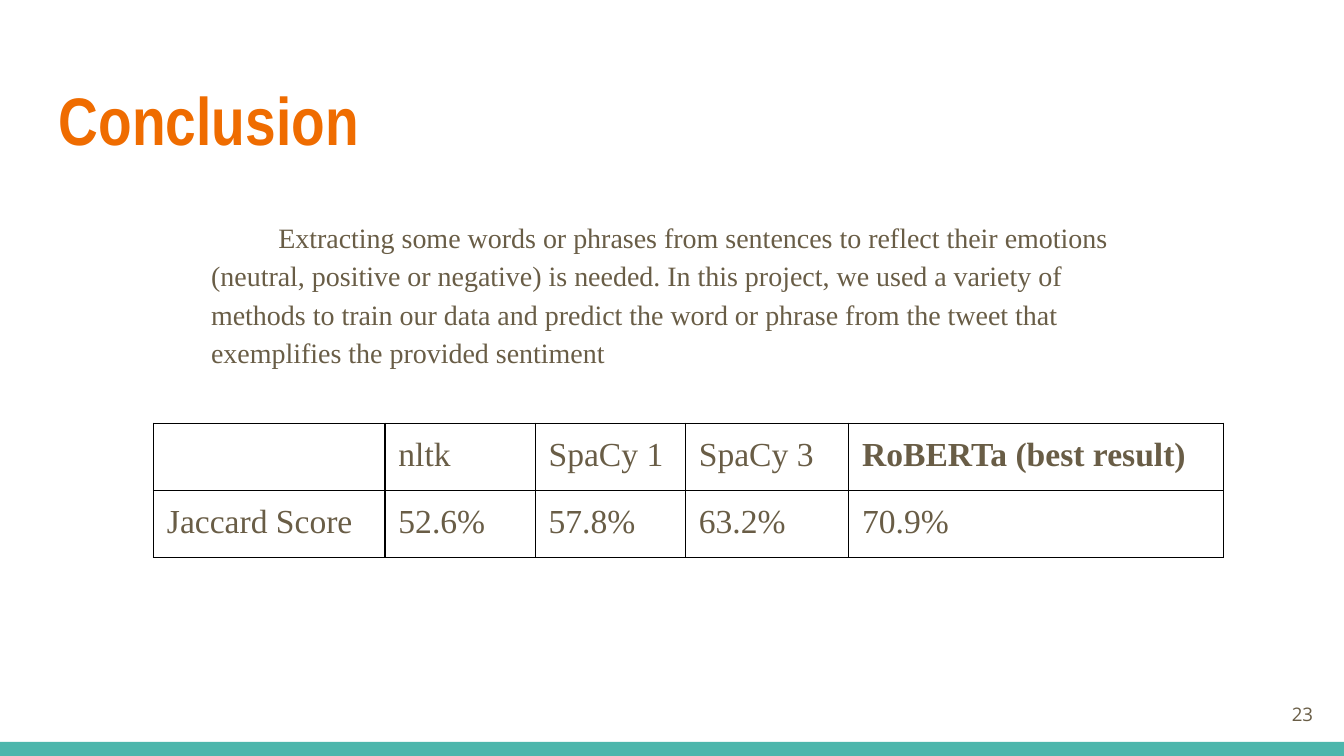
from lxml.etree import SubElement
from pptx import Presentation
from pptx.dml.color import RGBColor
from pptx.enum.shapes import MSO_SHAPE as Shape
from pptx.enum.text import MSO_ANCHOR as Anchor, PP_ALIGN as Align
from pptx.oxml.ns import qn
from pptx.util import Pt

TITLE = "Conclusion"
BODY = (
    "Extracting some words or phrases from sentences to reflect their emotions "
    "(neutral, positive or negative) is needed. In this project, we used a variety of "
    "methods to train our data and predict the word or phrase from the tweet that "
    "exemplifies the provided sentiment"
)
PAGE = "23"
SCORES = [
    ["", "nltk", "SpaCy 1", "SpaCy 3", "RoBERTa (best result)"],
    ["Jaccard Score", "52.6%", "57.8%", "63.2%", "70.9%"],
]
BEST = SCORES[0][-1]
WIDTHS = [124, 80.5, 80.5, 87.5, 201]
ROW = 34.5
INSET = 7.2
SERIF = "Times New Roman"
BROWN, ORANGE, TEAL, BLACK = "695D46", "EF6C00", "4DB6AC", "000000"


def color(code):
    return RGBColor.from_string(code)


def style(para, text, face, size, code, bold=False):
    para.text = text
    font = para.font
    font.name, font.size, font.bold = face, Pt(size), bold
    font.color.rgb = color(code)


def inset(item):
    item.margin_left = item.margin_right = Pt(INSET)
    item.margin_top = item.margin_bottom = Pt(INSET)


def add_text(slide, box, *look):
    """Add a wrapped text box and return its frame and paragraph."""
    frame = slide.shapes.add_textbox(*map(Pt, box)).text_frame
    frame.word_wrap = True
    inset(frame)
    para = frame.paragraphs[0]
    style(para, *look)
    return frame, para


def add_border(cell):
    props = cell._tc.get_or_add_tcPr()
    for spot, side in enumerate(("lnL", "lnR", "lnT", "lnB")):
        line = SubElement(props, qn(f"a:{side}"), w=str(Pt(0.75)))
        fill = SubElement(line, qn("a:solidFill"))
        SubElement(fill, qn("a:srgbClr"), val=BLACK)
        props.insert(spot, line)


def add_scores(slide, left, top):
    size = sum(WIDTHS), ROW * len(SCORES)
    table = slide.shapes.add_table(
        len(SCORES), len(WIDTHS), *map(Pt, (left, top, *size))
    ).table
    table.first_row = table.horz_banding = False
    for col, width in zip(table.columns, WIDTHS):
        col.width = Pt(width)
    for r, row in enumerate(SCORES):
        table.rows[r].height = Pt(ROW)
        for c, text in enumerate(row):
            cell = table.cell(r, c)
            cell.fill.background()
            inset(cell)
            style(cell.text_frame.paragraphs[0], text, SERIF, 18, BROWN, text == BEST)
            add_border(cell)


def main():
    deck = Presentation()
    deck.slide_width, deck.slide_height = Pt(720), Pt(405)
    slide = deck.slides.add_slide(deck.slide_layouts[6])

    bar = slide.shapes.add_shape(Shape.RECTANGLE, *map(Pt, (0, 397.5, 720, 7.5)))
    bar.shadow.inherit = False
    bar.fill.solid()
    bar.fill.fore_color.rgb = color(TEAL)
    bar.line.fill.background()

    add_text(slide, (24.5, 35, 671, 55.5), TITLE, "Arial Narrow", 36, ORANGE, True)

    frame, para = add_text(slide, (667, 367, 43.5, 31), PAGE, "Open Sans", 10, BROWN)
    frame.vertical_anchor = Anchor.MIDDLE
    para.alignment = Align.RIGHT

    add_scores(slide, 82.25, 226.75)

    frame, para = add_text(slide, (106, 108, 507.5, 131), BODY, SERIF, 15, BROWN)
    para.line_spacing = 1.15
    indent = para._p.get_or_add_pPr()
    indent.set("marL", "0")
    indent.set("indent", str(Pt(36)))

    deck.save("out.pptx")


if __name__ == "__main__":
    main()
